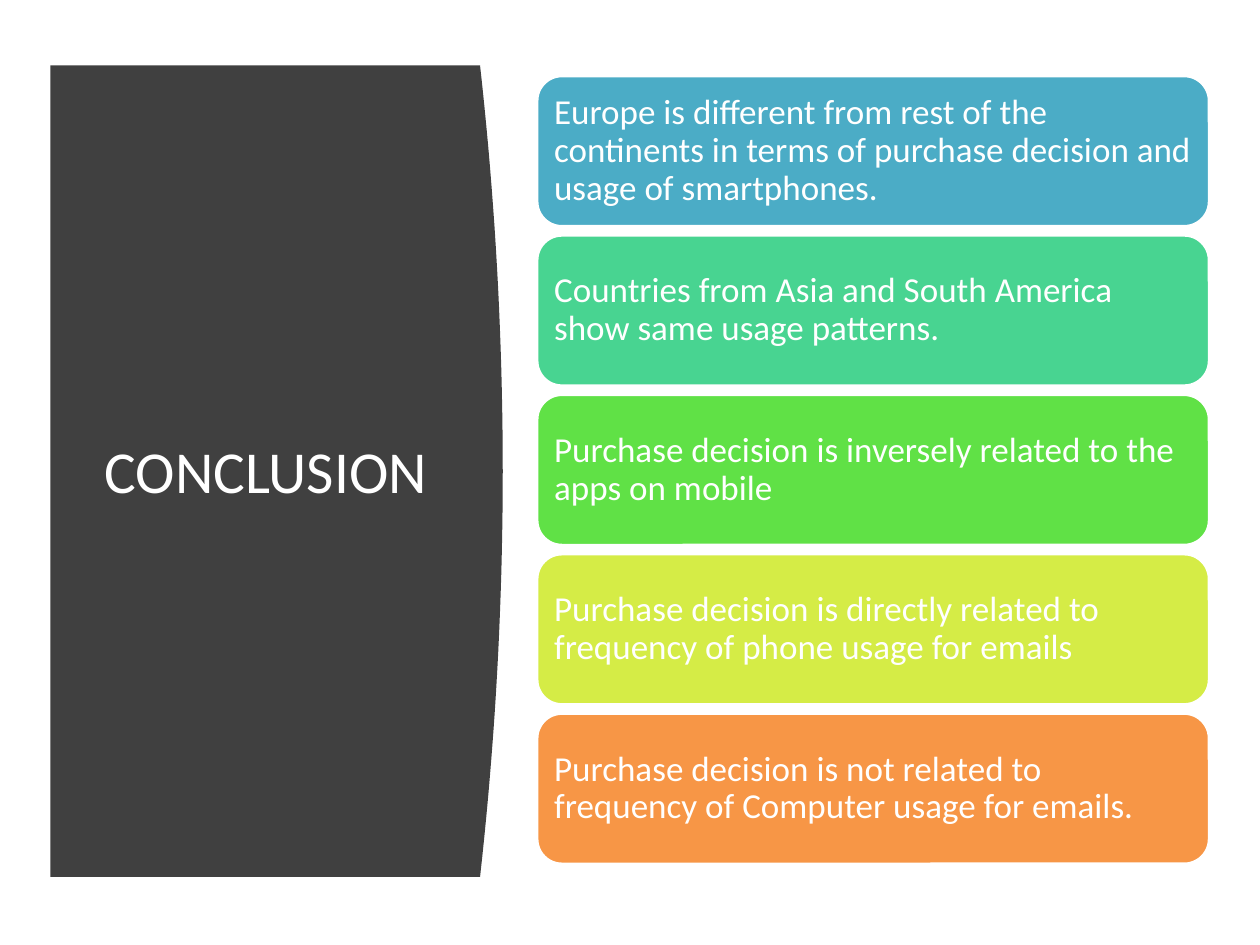
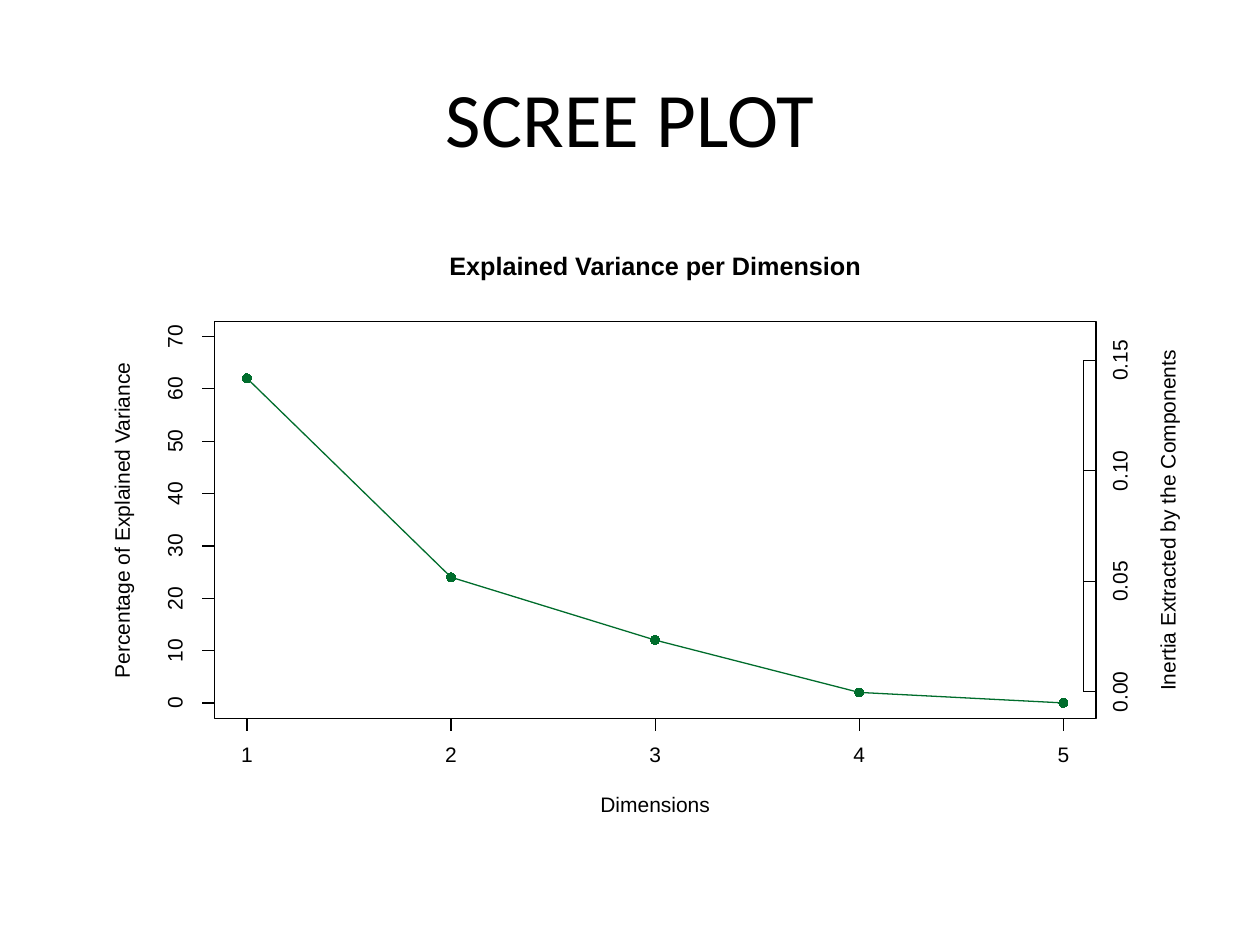
from dataclasses import dataclass

from pptx import Presentation
from pptx.chart.data import XyChartData
from pptx.dml.color import RGBColor
from pptx.enum.chart import XL_CHART_TYPE, XL_MARKER_STYLE
from pptx.enum.shapes import MSO_CONNECTOR, MSO_SHAPE
from pptx.enum.text import MSO_ANCHOR, PP_ALIGN
from pptx.oxml import parse_xml
from pptx.oxml.ns import nsdecls
from pptx.util import Inches, Pt

Point = tuple[float, float]


@dataclass(frozen=True)
class Theme:
    white: str = "FFFFFF"
    black: str = "000000"
    panel: str = "404040"
    curve: str = "006D2C"
    heading_font: str = "Calibri"
    plot_font: str = "Arial"
    panel_title: float = 34
    page_title: float = 44
    card_text: float = 20
    plot_title: float = 14.4
    plot_text: float = 12
    hairline: float = 0.75


THEME = Theme()


@dataclass(frozen=True)
class Frame:
    left: float
    top: float
    width: float
    height: float

    @property
    def right(self) -> float:
        return self.left + self.width

    @property
    def bottom(self) -> float:
        return self.top + self.height

    def lengths(self) -> tuple:
        return tuple(map(Inches, (self.left, self.top, self.width, self.height)))


@dataclass(frozen=True)
class Card:
    text: str
    color: str


@dataclass(frozen=True)
class Axis:
    """An axis line with evenly spaced ticks, labels and a title."""
    labels: list[str]
    start: Point
    end: Point
    tick: Point
    label_shift: Point
    label_width: float
    title: str
    title_center: Point
    title_width: float
    rotation: int = 0


CARDS = [
    Card("Europe is different from rest of the continents in terms of "
         "purchase decision and usage of smartphones.", "4BACC6"),
    Card("Countries from Asia and South America show same usage patterns.", "48D491"),
    Card("Purchase decision is inversely related to the apps on mobile", "60E146"),
    Card("Purchase decision is directly related to frequency of phone usage "
         "for emails", "D5EC46"),
    Card("Purchase decision is not related to frequency of Computer usage "
         "for emails.", "F79646"),
]
CARD_FRAME = Frame(4.26, 0.6, 5.34, 1.2)
LAST_CARD_TOP = 5.66
CARD_STEP = (LAST_CARD_TOP - CARD_FRAME.top) / (len(CARDS) - 1)

PANEL = Frame(0.4, 0.52, 3.59, 6.44)
PANEL_BULGE = 0.18
PANEL_STEPS = 40

CHART = Frame(0.5, 1.75, 9, 4.95)
PLOT_BORDER = Frame(1.7, 2.55, 7, 3.15)
DATA_AREA = Frame(1.96, 2.67, 6.48, 2.91)
EXPLAINED_VARIANCE = [62, 24, 12, 2, 0]
VARIANCE_MAX = 70

AXES = [
    Axis([str(dimension) for dimension in range(1, 6)],
         (DATA_AREA.left, PLOT_BORDER.bottom), (DATA_AREA.right, PLOT_BORDER.bottom),
         (0, 0.1), (0, 0.3), 0.1, "Dimensions", (5.2, 6.4), 0.92),
    Axis([str(percent) for percent in range(0, VARIANCE_MAX + 1, 10)],
         (PLOT_BORDER.left, DATA_AREA.bottom), (PLOT_BORDER.left, DATA_AREA.top),
         (-0.1, 0), (-0.3, 0), 0.2,
         "Percentage of Explained Variance", (0.98, 4.13), 2.56, 270),
    Axis([f"{step * 0.05:.2f}" for step in range(4)],
         (8.6, 5.49), (8.6, 2.86), (0.1, 0), (0.3, 0), 0.36,
         "Inertia Extracted by the Components", (9.28, 4.13), 2.75, 270),
]


def apply(target, **values) -> None:
    for name, value in values.items():
        setattr(target, name, value)


def rgb(color: str) -> RGBColor:
    return RGBColor.from_string(color)


def paint(shape, fill: str | None = None, line: str | None = None,
          width: float = THEME.hairline) -> None:
    shape.shadow.inherit = False
    for part, color in ((shape.fill, fill), (shape.line.fill, line)):
        if color:
            part.solid()
            part.fore_color.rgb = rgb(color)
        else:
            part.background()
    if line:
        shape.line.width = Pt(width)


def write(shape, text: str, size: float, color: str, font: str,
          align: PP_ALIGN = PP_ALIGN.CENTER, spacing=None, inset: float | None = None,
          wrap: bool = True, bold: bool = False) -> None:
    frame = shape.text_frame
    apply(frame, word_wrap=wrap, vertical_anchor=MSO_ANCHOR.MIDDLE)
    if inset is not None:
        sides = ("left", "top", "right", "bottom")
        apply(frame, **{f"margin_{side}": Inches(inset) for side in sides})
    para = frame.paragraphs[0]
    apply(para, alignment=align, line_spacing=spacing)
    span = para.add_run()
    span.text = text
    apply(span.font, size=Pt(size), name=font, bold=bold)
    span.font.color.rgb = rgb(color)


def add_page(deck, title: str, frame: Frame, size: float, color: str):
    page = deck.slides.add_slide(deck.slide_layouts[5])
    heading = page.shapes.title
    apply(heading, **dict(zip(("left", "top", "width", "height"), frame.lengths())))
    write(heading, title, size, color, THEME.heading_font)
    return page


def add_curved_panel(page):
    """Draw the dark panel, whose right side is a parabola."""
    half = PANEL.height / 2
    edge = []
    for step in range(PANEL_STEPS + 1):
        offset = 2 * step / PANEL_STEPS - 1
        edge.append((Inches(PANEL.right - PANEL_BULGE * offset ** 2),
                     Inches(PANEL.top + half * (1 + offset))))
    left = Inches(PANEL.left)
    builder = page.shapes.build_freeform(left, Inches(PANEL.top))
    builder.add_line_segments(edge + [(left, Inches(PANEL.bottom))], close=True)
    panel = builder.convert_to_shape()
    paint(panel, THEME.panel)
    return panel


def add_card(page, card: Card, row: int) -> None:
    frame = Frame(CARD_FRAME.left, CARD_FRAME.top + row * CARD_STEP,
                  CARD_FRAME.width, CARD_FRAME.height)
    box = page.shapes.add_shape(MSO_SHAPE.ROUNDED_RECTANGLE, *frame.lengths())
    paint(box, card.color, THEME.white, 2)
    write(box, card.text, THEME.card_text, THEME.white, THEME.heading_font,
          PP_ALIGN.LEFT, spacing=0.9, inset=0.08)


def add_line(page, start: Point, end: Point) -> None:
    line = page.shapes.add_connector(MSO_CONNECTOR.STRAIGHT, *map(Inches, start + end))
    line.line.width = Pt(THEME.hairline)
    line.line.color.rgb = rgb(THEME.black)
    line.element.spPr.append(parse_xml(f"<a:effectLst {nsdecls('a')}/>"))


def add_plot_text(page, text: str, center: Point, width: float, rotation: int = 0,
                  size: float = THEME.plot_text, bold: bool = False) -> None:
    height = 0.12
    frame = Frame(center[0] - width / 2, center[1] - height / 2, width, height)
    box = page.shapes.add_textbox(*frame.lengths())
    box.rotation = rotation
    write(box, text, size, THEME.black, THEME.plot_font,
          spacing=Pt(size), inset=0, wrap=False, bold=bold)


def shifted(point: Point, shift: Point) -> Point:
    return point[0] + shift[0], point[1] + shift[1]


def add_axis(page, axis: Axis) -> None:
    add_line(page, axis.start, axis.end)
    for index, label in enumerate(axis.labels):
        share = index / (len(axis.labels) - 1)
        spot = (axis.start[0] + share * (axis.end[0] - axis.start[0]),
                axis.start[1] + share * (axis.end[1] - axis.start[1]))
        add_line(page, spot, shifted(spot, axis.tick))
        add_plot_text(page, label, shifted(spot, axis.label_shift),
                      axis.label_width, axis.rotation)
    add_plot_text(page, axis.title, axis.title_center, axis.title_width, axis.rotation)


def pin_plot_area(chart) -> None:
    """Fix the inner plot area so that the data meets the drawn axes."""
    places = {
        "x": (DATA_AREA.left - CHART.left) / CHART.width,
        "y": (DATA_AREA.top - CHART.top) / CHART.height,
        "w": DATA_AREA.width / CHART.width,
        "h": DATA_AREA.height / CHART.height,
    }
    modes = '<c:xMode val="edge"/><c:yMode val="edge"/>'
    sizes = "".join(f'<c:{name} val="{value:.4f}"/>' for name, value in places.items())
    plot_area = chart.element.chart.plotArea
    for layout in plot_area.findall("{*}layout"):
        plot_area.remove(layout)
    plot_area.insert(0, parse_xml(
        f'<c:layout {nsdecls("c")}><c:manualLayout><c:layoutTarget val="inner"/>'
        f"{modes}{sizes}</c:manualLayout></c:layout>"))


def add_variance_chart(page) -> None:
    data = XyChartData()
    points = data.add_series("Percentage of Explained Variance")
    for dimension, percent in enumerate(EXPLAINED_VARIANCE, start=1):
        points.add_data_point(dimension, percent)
    chart = page.shapes.add_chart(XL_CHART_TYPE.XY_SCATTER_LINES,
                                  *CHART.lengths(), data).chart
    apply(chart, has_legend=False, has_title=False)
    apply(chart.font, name=THEME.plot_font, size=Pt(THEME.plot_text))
    chart.plots[0].vary_by_categories = False
    ranges = ((chart.category_axis, 1, len(EXPLAINED_VARIANCE), 1),
              (chart.value_axis, 0, VARIANCE_MAX, 10))
    for axis, low, high, unit in ranges:
        apply(axis, minimum_scale=low, maximum_scale=high, major_unit=unit,
              has_major_gridlines=False, visible=False)
    series = chart.plots[0].series[0]
    series.smooth = False
    series.format.line.width = Pt(THEME.hairline)
    series.format.line.color.rgb = rgb(THEME.curve)
    apply(series.marker, style=XL_MARKER_STYLE.CIRCLE, size=5)
    series.marker.format.fill.solid()
    series.marker.format.fill.fore_color.rgb = rgb(THEME.curve)
    series.marker.format.line.fill.background()
    pin_plot_area(chart)


def build_conclusion(deck) -> None:
    page = add_page(deck, "CONCLUSION", Frame(0.71, 1.11, 2.8, 5.24),
                    THEME.panel_title, THEME.white)
    panel = add_curved_panel(page)
    panel.element.addnext(page.shapes.title.element)
    for row, card in enumerate(CARDS):
        add_card(page, card, row)


def build_scree_plot(deck) -> None:
    page = add_page(deck, "SCREE PLOT", Frame(0.5, 0.3, 9, 1.25),
                    THEME.page_title, THEME.black)
    border = page.shapes.add_shape(MSO_SHAPE.RECTANGLE, *PLOT_BORDER.lengths())
    paint(border, line=THEME.black)
    add_variance_chart(page)
    add_plot_text(page, "Explained Variance per Dimension", (5.2, 2.13), 3.32,
                  size=THEME.plot_title, bold=True)
    for axis in AXES:
        add_axis(page, axis)


def main() -> None:
    deck = Presentation()
    apply(deck, slide_width=Inches(10), slide_height=Inches(7.5))
    build_conclusion(deck)
    build_scree_plot(deck)
    deck.save("out.pptx")


if __name__ == "__main__":
    main()
